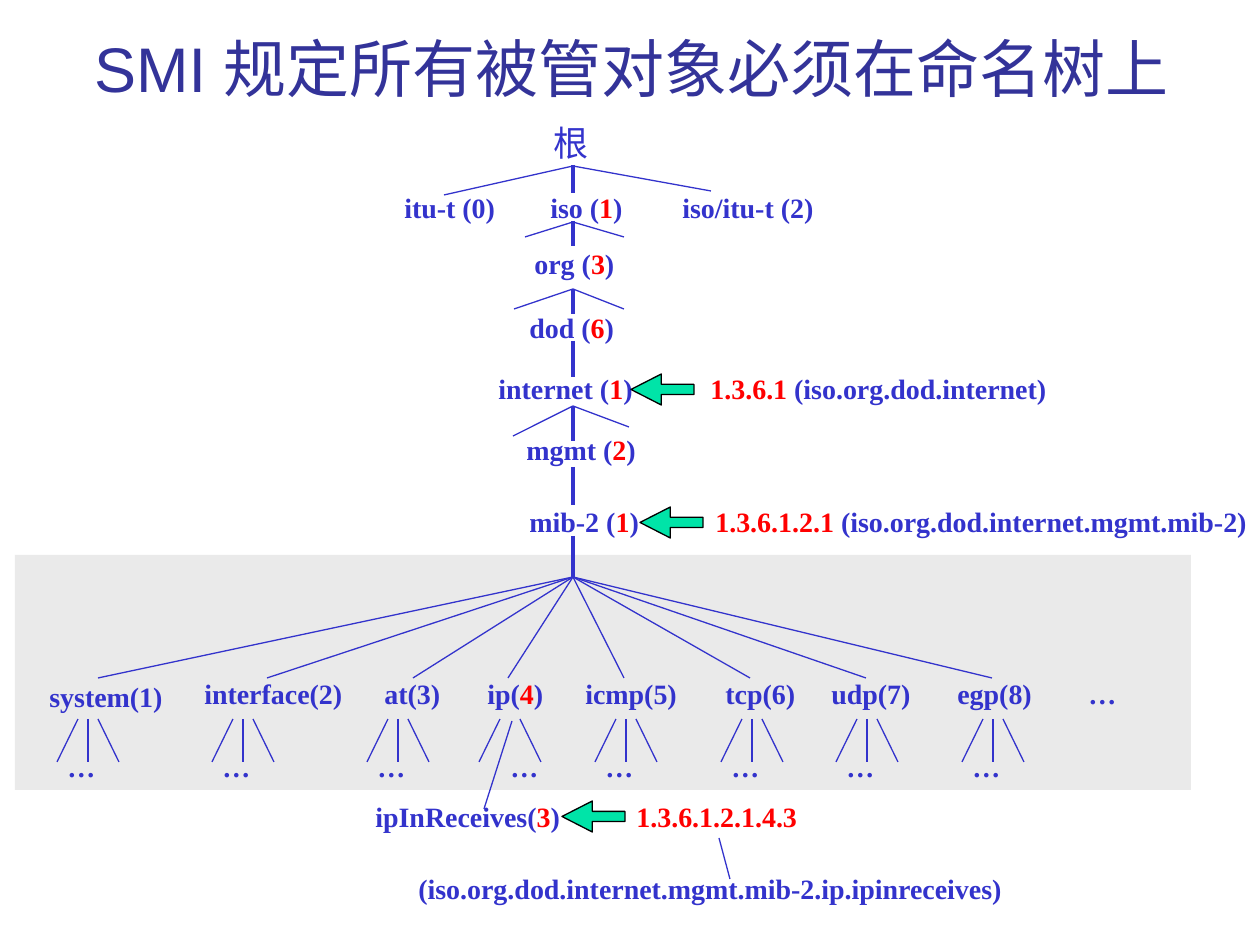
from pptx import Presentation
from pptx.dml.color import RGBColor
from pptx.enum.shapes import MSO_CONNECTOR as CONN, MSO_SHAPE as SHAPE
from pptx.enum.text import MSO_ANCHOR as ANCHOR, MSO_AUTO_SIZE as AUTO, PP_ALIGN as ALIGN
from pptx.oxml.ns import qn
from pptx.util import Emu, Pt

BLUE, RED, GREEN, GREY, BLACK, NAVY = "3333CC", "FF0000", "00E4A8", "EAEAEA", "000000", "333399"
TITLE = "SMI 规定所有被管对象必须在命名树上 "
BOLD = dict(name="Times New Roman", size=Pt(16), bold=True)
ROOT = dict(name="Times New Roman", size=Pt(20), bold=False)
HEAD = dict(name="Arial", size=Pt(36), bold=False)
LABEL_FRAME = dict(word_wrap=True, auto_size=AUTO.SHAPE_TO_FIT_TEXT, margin_right=0)
HEAD_FRAME = dict(word_wrap=True, vertical_anchor=ANCHOR.BOTTOM)

LABELS = [
    ("itu-t (0)", 392, 184, 116),
    ("iso (|1|)", 538, 184, 97),
    ("iso/itu-t (2)", 670, 184, 156),
    ("org (|3|)", 522, 240, 105),
    ("dod (|6|)", 517, 304, 110),
    ("internet (|1|)", 486, 365, 160),
    ("|1.3.6.1| (iso.org.dod.internet)", 698, 365, 360),
    ("mgmt (|2|)", 514, 426, 135),
    ("mib-2 (|1|)", 517, 498, 134),
    ("|1.3.6.1.2.1| (iso.org.dod.internet.mgmt.mib-2)", 703, 498, 556),
    ("…", 1076, 670, 53),
    ("ipInReceives(|3|)", 363, 793, 217),
    ("|1.3.6.1.2.1.4.3|", 624, 793, 185),
    ("(iso.org.dod.internet.mgmt.mib-2.ip.ipinreceives)", 406, 865, 609),
]
GROUPS = [
    ("system(1)", 37, 673, 139, 98, 88),
    ("interface(2)", 192, 670, 163, 267, 243),
    ("at(3)", 372, 670, 81, 413, 398),
    ("ip(|4|)", 475, 670, 81, 508, 510),
    ("icmp(5)", 573, 670, 116, 624, 626),
    ("tcp(6)", 713, 670, 95, 750, 752),
    ("udp(7)", 819, 670, 105, 866, 867),
    ("egp(8)", 945, 670, 100, 992, 993),
]
TRUNK_X = 573
TRUNK = [(165, 193), (221, 246), (289, 314), (341, 377), (406, 441), (467, 505), (536, 578)]
BRANCHES = [
    (166, (444, 195), (711, 191)),
    (222, (525, 237), (624, 237)),
    (289, (514, 309), (624, 309)),
    (406, (513, 436), (629, 427)),
]
FAN_Y, FAN_END = 577, 678
TWIG_TOP, TWIG_END, DOTS_Y = 719, 762, 743
POINTERS = [(512, 721, 484, 809), (730, 879, 719, 838)]
ARROWS = [(631, 374), (640, 507), (562, 801)]


def px(n):
    return Emu(round(n * 914400 / 126))


def rgb(c):
    return RGBColor.from_string(c)


def add_text(text, x, y, w, h=47, font=BOLD, color=BLUE, frame=LABEL_FRAME, align=ALIGN.LEFT):
    tf = s.shapes.add_textbox(*map(px, (x, y, w, h))).text_frame
    for k, v in frame.items():
        setattr(tf, k, v)
    p = tf.paragraphs[0]
    p.alignment = align
    for i, part in enumerate(text.split("|")):
        if part:
            r = p.add_run()
            r.text = part
            for k, v in font.items():
                setattr(r.font, k, v)
            r.font.color.rgb = rgb(RED if i % 2 else color)


def add_line(x1, y1, x2, y2, width=0.75):
    c = s.shapes.add_connector(CONN.STRAIGHT, *map(px, (x1, y1, x2, y2)))
    c.line.color.rgb = rgb(BLUE)
    c.line.width = Pt(width)
    pr = c.line._get_or_add_ln().getparent()
    pr.append(pr.makeelement(qn("a:effectLst"), {}))


def add_box(kind, x, y, w, h, fill):
    sp = s.shapes.add_shape(kind, *map(px, (x, y, w, h)))
    sp.shadow.inherit = False
    sp.fill.solid()
    sp.fill.fore_color.rgb = rgb(fill)
    sp.line.fill.background()
    return sp


prs = Presentation()
prs.slide_width, prs.slide_height = px(1260), px(945)
s = prs.slides.add_slide(prs.slide_layouts[6])

add_box(SHAPE.RECTANGLE, 15, 555, 1176, 235, GREY)
add_text(TITLE, 72, 15, 1133, 96, HEAD, NAVY, HEAD_FRAME, ALIGN.CENTER)
add_text("根", 541, 115, 60, 55, ROOT)
for label in LABELS:
    add_text(*label)

for top, end in TRUNK:
    add_line(TRUNK_X, top, TRUNK_X, end, 2.25)
for y, *ends in BRANCHES:
    for end in ends:
        add_line(TRUNK_X, y, *end)

for name, x, y, w, branch_x, twig_x in GROUPS:
    is_ip = name.startswith("ip")
    add_text(name, x, y, w)
    add_line(TRUNK_X, FAN_Y, branch_x, FAN_END)
    for side in (-1, 1) if is_ip else (-1, 0, 1):
        add_line(twig_x + 10 * side, TWIG_TOP, twig_x + 31 * side, TWIG_END)
    add_text("…", twig_x - (12 if is_ip else 33), DOTS_Y, 53)

for pointer in POINTERS:
    add_line(*pointer)
for x, y in ARROWS:
    sp = add_box(SHAPE.LEFT_ARROW, x, y, 63, 31, GREEN)
    sp.adjustments[0], sp.adjustments[1] = 0.33, 0.98
    sp.line.color.rgb = rgb(BLACK)
    sp.line.width = Pt(0.75)

prs.save("out.pptx")
